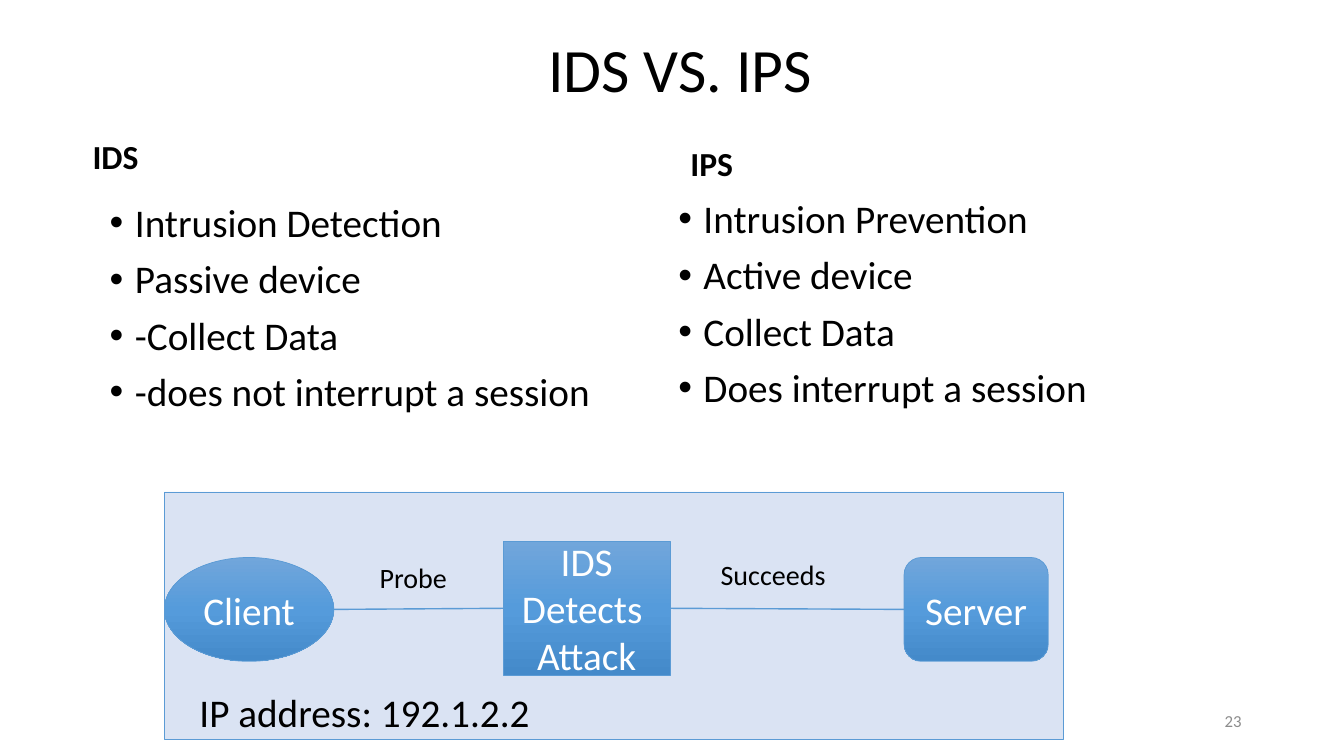
from copy import deepcopy
from dataclasses import dataclass

from lxml.etree import SubElement
from pptx import Presentation
from pptx.dml.color import RGBColor
from pptx.enum.shapes import MSO_CONNECTOR, MSO_SHAPE
from pptx.enum.text import MSO_ANCHOR, PP_ALIGN
from pptx.oxml.ns import qn
from pptx.util import Pt


@dataclass(frozen=True)
class Theme:
    """Colours, font and type sizes of the slide."""
    font: str = "Calibri"
    ink: str = "000000"
    light: str = "FFFFFF"
    muted: str = "8C8C8C"
    panel: str = "DAE3F3"
    accent: str = "5B9BD5"
    gradient: tuple = ("71A6DB", "559BDB", "448ACA")
    title: int = 44
    heading: int = 24
    body: int = 28
    label: int = 20
    number: int = 12


THEME = Theme()
TITLE_BOX = (72, -0.7, 828, 104.4)
COLUMNS = (
    ("IDS", (59, 64.8, 406, 64.8), (71.3, 141.8, 406, 290),
     ("Intrusion Detection", "Passive device", "-Collect Data",
      "-does not interrupt a session")),
    ("IPS", (486, 69.8, 408, 64.8), (477.4, 139, 408, 290),
     ("Intrusion Prevention", "Active device", "Collect Data",
      "Does interrupt a session")),
)


def points(box):
    """Convert left, top, width and height to lengths."""
    return [Pt(value) for value in box]


def write(frame, lines, size, color=THEME.ink, align=PP_ALIGN.LEFT,
          anchor=MSO_ANCHOR.TOP, bold=False):
    """Fill a text frame with one formatted paragraph per line."""
    frame.text = "\n".join(lines)
    frame.vertical_anchor = anchor
    for paragraph in frame.paragraphs:
        paragraph.alignment = align
        for run in paragraph.runs:
            run.font.name = THEME.font
            run.font.size = Pt(size)
            run.font.bold = bold
            run.font.color.rgb = RGBColor.from_string(color)


def add_text(slide, box, lines, size, wrap=True, **style):
    """Add a text box and return its frame."""
    frame = slide.shapes.add_textbox(*points(box)).text_frame
    frame.word_wrap = wrap
    write(frame, lines, size, **style)
    return frame


def set_title(slide, text):
    """Place and format the title placeholder."""
    title = slide.shapes.title
    title.left, title.top, title.width, title.height = points(TITLE_BOX)
    write(title.text_frame, [text], THEME.title, align=PP_ALIGN.CENTER,
          anchor=MSO_ANCHOR.MIDDLE)
    title.text_frame.paragraphs[0].line_spacing = 0.9


def add_column(slide, heading, heading_box, list_box, items):
    """Add a bold heading with its bulleted list."""
    header = add_text(slide, heading_box, [heading], THEME.heading,
                      anchor=MSO_ANCHOR.BOTTOM, bold=True)
    header.paragraphs[0].line_spacing = 0.9
    for paragraph in add_text(slide, list_box, items, THEME.body).paragraphs:
        paragraph.line_spacing = 0.9
        paragraph.space_before = Pt(10)
        properties = paragraph._p.get_or_add_pPr()
        properties.set("marL", str(Pt(18)))
        properties.set("indent", str(Pt(-18)))
        SubElement(properties, qn("a:buFont"), typeface="Arial")
        SubElement(properties, qn("a:buChar"), char="•")


def add_outlined(slide, kind, box):
    """Add a preset shape with the thin accent outline."""
    shape = slide.shapes.add_shape(kind, *points(box))
    shape.shadow.inherit = False
    shape.line.color.rgb = RGBColor.from_string(THEME.accent)
    shape.line.width = Pt(0.5)
    return shape


def add_panel(slide, box):
    """Add the pale backdrop of the diagram."""
    panel = add_outlined(slide, MSO_SHAPE.RECTANGLE, box)
    panel.fill.solid()
    panel.fill.fore_color.rgb = RGBColor.from_string(THEME.panel)


def add_node(slide, kind, box, lines):
    """Add a network node with a vertical three-stop gradient."""
    node = add_outlined(slide, kind, box)
    node.fill.gradient()
    node.fill.gradient_angle = 270
    stops = node._element.spPr.find(".//" + qn("a:gsLst"))
    stops.insert(1, deepcopy(stops[0]))
    stops[1].set("pos", "50000")
    for stop, color in zip(node.fill.gradient_stops, THEME.gradient):
        stop.color.rgb = RGBColor.from_string(color)
    write(node.text_frame, lines, THEME.body, color=THEME.light,
          align=PP_ALIGN.CENTER, anchor=MSO_ANCHOR.MIDDLE)
    return node


def add_link(slide, start, end):
    """Add a line from the right of one node to the left of another."""
    link = slide.shapes.add_connector(
        MSO_CONNECTOR.STRAIGHT,
        start.left + start.width, start.top + start.height // 2,
        end.left, end.top + end.height // 2)
    link.line.color.rgb = RGBColor.from_string(THEME.accent)
    link.line.width = Pt(1)
    SubElement(link._element.spPr, qn("a:effectLst"))
    return link


def add_diagram(slide):
    """Draw the client, detector and server with their links."""
    add_panel(slide, (117.4, 351.4, 642.2, 176.4))
    detector = add_node(slide, MSO_SHAPE.RECTANGLE, (359.3, 386.6, 119.5, 95.8),
                        ["IDS", "Detects ", "Attack"])
    client = add_node(slide, MSO_SHAPE.OVAL, (117.4, 398.2, 121, 74.2),
                      ["Client"])
    server = add_node(slide, MSO_SHAPE.ROUNDED_RECTANGLE,
                      (645.8, 398.2, 103, 74.2), ["Server"])
    add_text(slide, (135.4, 488.2, 253.4, 41), ["IP address: 192.1.2.2"],
             THEME.body, wrap=False)
    add_link(slide, client, detector).end_connect(detector, 1)
    success = add_link(slide, detector, server)
    success.begin_connect(detector, 3)
    success.end_connect(server, 1)
    for label, left, top in (("Succeeds", 497.5, 376.6), ("Probe", 240.5, 378.5)):
        add_text(slide, (left, top, 109.4, 67), [label], THEME.label,
                 align=PP_ALIGN.CENTER, anchor=MSO_ANCHOR.MIDDLE)


def main():
    """Build and save the slide."""
    presentation = Presentation()
    presentation.slide_width, presentation.slide_height = Pt(960), Pt(540)
    slide = presentation.slides.add_slide(presentation.slide_layouts[5])
    set_title(slide, "IDS VS. IPS")
    for column in COLUMNS:
        add_column(slide, *column)
    add_text(slide, (678, 500.4, 216, 28.8), ["23"], THEME.number,
             color=THEME.muted, align=PP_ALIGN.RIGHT, anchor=MSO_ANCHOR.MIDDLE)
    add_diagram(slide)
    presentation.save("out.pptx")


if __name__ == "__main__":
    main()
